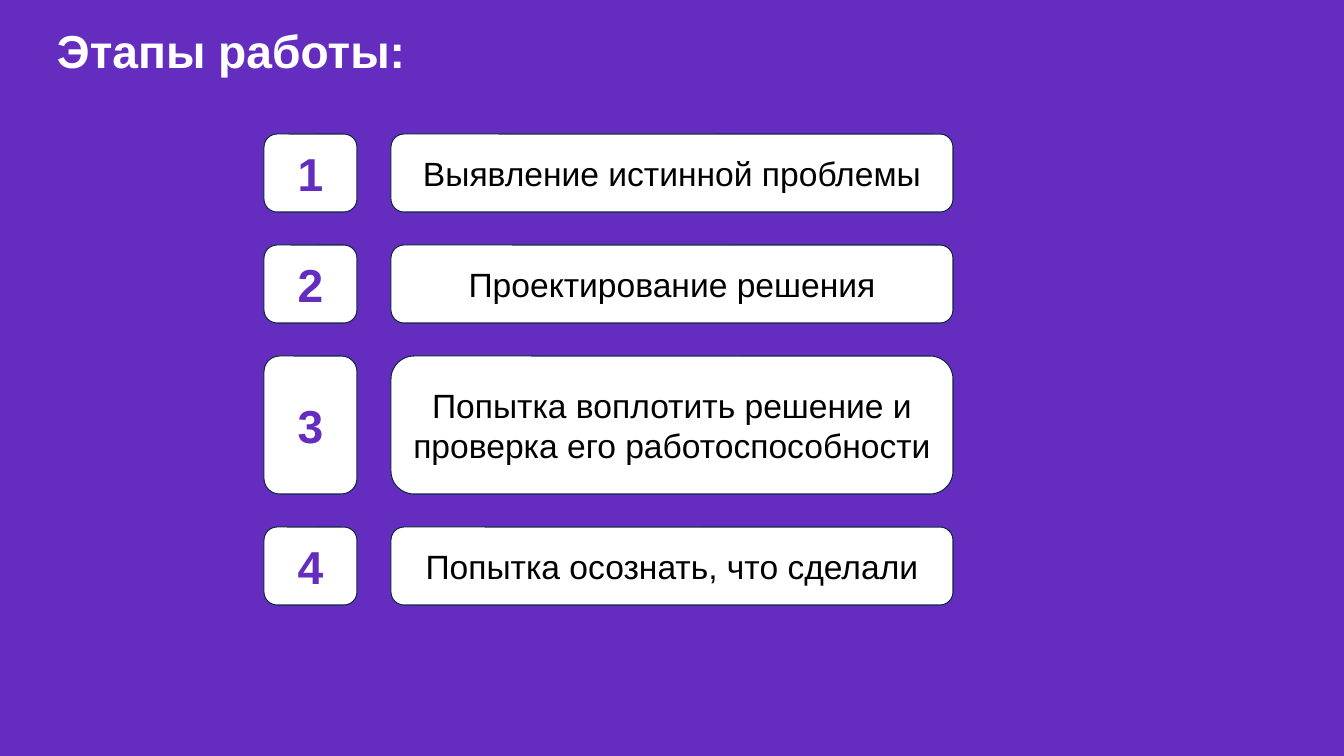
"""Builds the slide that lists the stages of work."""
from pptx import Presentation
from pptx.dml.color import RGBColor
from pptx.enum.shapes import MSO_SHAPE
from pptx.enum.text import MSO_ANCHOR, MSO_AUTO_SIZE, PP_ALIGN
from pptx.util import Emu, Pt

ROUNDED = MSO_SHAPE.ROUNDED_RECTANGLE
MIDDLE, TOP = MSO_ANCHOR.MIDDLE, MSO_ANCHOR.TOP
CENTER, LEFT = PP_ALIGN.CENTER, PP_ALIGN.LEFT
FIT_SHAPE = MSO_AUTO_SIZE.SHAPE_TO_FIT_TEXT

PURPLE = RGBColor(0x64, 0x2D, 0xC0)
WHITE = RGBColor(0xFF, 0xFF, 0xFF)
BLACK = RGBColor(0x00, 0x00, 0x00)
NAVY = RGBColor(0x0E, 0x28, 0x41)

FONT = "Arial"
SLIDE_WIDTH, SLIDE_HEIGHT = 1344, 756
EMU_PER_PX = 12192000 / SLIDE_WIDTH

NUMBER_LEFT, NUMBER_WIDTH = 264, 93
STAGE_LEFT, STAGE_WIDTH = 391, 562
FIRST_TOP, ROW_GAP = 134, 33
STAGES = [
    ("Выявление истинной проблемы", 78),
    ("Проектирование решения", 78),
    ("Попытка воплотить решение и проверка его работоспособности", 138),
    ("Попытка осознать, что сделали", 78),
]


def px(length):
    """Turn a length in px into EMU."""
    return Emu(round(length * EMU_PER_PX))


def write_text(shape, text, size, color, bold, align, anchor, inset_y):
    """Fill a shape with one formatted run."""
    frame = shape.text_frame
    frame.word_wrap = True
    frame.vertical_anchor = anchor
    frame.margin_left = frame.margin_right = px(10)
    frame.margin_top = frame.margin_bottom = px(inset_y)
    paragraph = frame.paragraphs[0]
    paragraph.alignment = align
    run = paragraph.add_run()
    run.text = text
    run.font.name = FONT
    run.font.size = Pt(size)
    run.font.bold = bold
    run.font.color.rgb = color


def add_title(slide, text):
    """Add the slide heading."""
    box = slide.shapes.add_textbox(px(47), px(17), px(839), px(67))
    write_text(box, text, 33, WHITE, True, LEFT, TOP, 5)
    box.text_frame.auto_size = FIT_SHAPE


def add_card(slide, left, top, width, height, text, size, color, bold):
    """Add a white rounded card with centred text."""
    card = slide.shapes.add_shape(ROUNDED, px(left), px(top), px(width), px(height))
    card.shadow.inherit = False
    card.fill.solid()
    card.fill.fore_color.rgb = WHITE
    card.line.color.rgb = NAVY
    card.line.width = Pt(0.75)
    write_text(card, text, size, color, bold, CENTER, MIDDLE, 10)


def add_stages(slide):
    """Stack the numbered stages from top to bottom."""
    top = FIRST_TOP
    for number, (text, height) in enumerate(STAGES, start=1):
        add_card(slide, NUMBER_LEFT, top, NUMBER_WIDTH, height, str(number), 33, PURPLE, True)
        add_card(slide, STAGE_LEFT, top, STAGE_WIDTH, height, text, 24, BLACK, False)
        top += height + ROW_GAP


def main():
    """Build and save the presentation."""
    presentation = Presentation()
    presentation.slide_width = px(SLIDE_WIDTH)
    presentation.slide_height = px(SLIDE_HEIGHT)
    slide = presentation.slides.add_slide(presentation.slide_layouts[6])
    slide.background.fill.solid()
    slide.background.fill.fore_color.rgb = PURPLE
    add_title(slide, "Этапы работы:")
    add_stages(slide)
    presentation.save("out.pptx")


if __name__ == "__main__":
    main()
